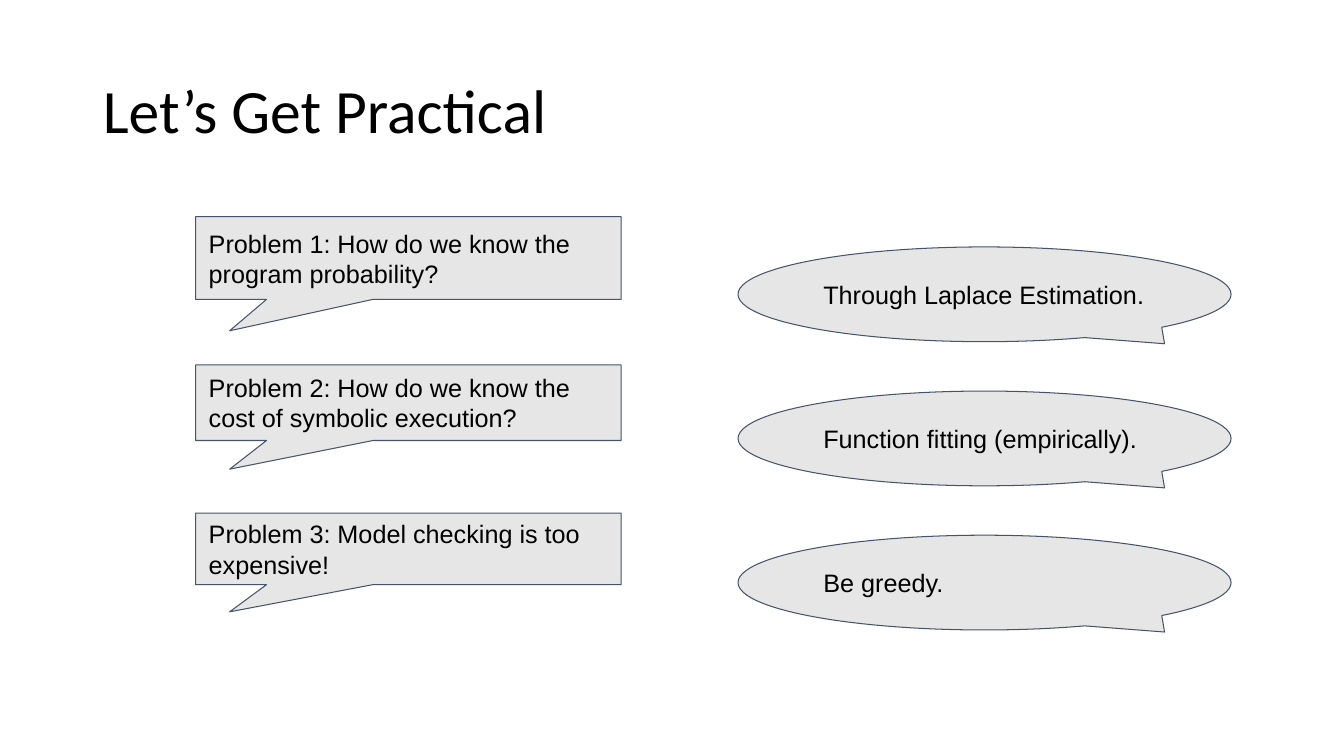
from pptx import Presentation
from pptx import util as u
from pptx.dml.color import RGBColor
from pptx.enum import shapes, text

# Content
TITLE = "Let’s Get Practical"
PAIRS = [
    ("Problem 1: How do we know the program probability?", 0.82,
     "Through Laplace Estimation."),
    ("Problem 2: How do we know the cost of symbolic execution?", 0.75,
     "Function fitting (empirically)."),
    ("Problem 3: Model checking is too expensive!", 0.71,
     "Be greedy."),
]
HUES = {"fill": "E7E6E6", "line": "44546A", "text": "000000"}

# Grid, in inches: left, first top, row step, width
ASK = (1.94, 2.15, 1.47, 4.22)
REPLY = (7.32, 2.45, 1.43, 4.89)
HIGH = 0.94
PAD = u.Inches(0.13)

KIND = shapes.MSO_SHAPE
ASK_TAIL = (-0.42, 0.88, 0)
REPLY_TAIL = (0.365, 0.522)


def hue(name):
    return RGBColor.from_string(HUES[name])


def write(para, words, face, size):
    para.alignment = text.PP_ALIGN.LEFT
    run = para.add_run()
    run.text = words
    run.font.name = face
    run.font.size = u.Pt(size)
    run.font.color.rgb = hue("text")


def bubble(slide, kind, tail, grid, row, high, words):
    left, top, step, wide = grid
    box = slide.shapes.add_shape(
        kind, u.Inches(left), u.Inches(top + row * step),
        u.Inches(wide), u.Inches(high))
    for i, value in enumerate(tail):
        box.adjustments[i] = value
    box.shadow.inherit = False
    box.fill.solid()
    box.fill.fore_color.rgb = hue("fill")
    box.line.color.rgb = hue("line")
    box.line.width = u.Pt(0.75)
    frame = box.text_frame
    frame.word_wrap = True
    frame.vertical_anchor = text.MSO_ANCHOR.MIDDLE
    frame.margin_left = frame.margin_right = PAD
    frame.margin_top = frame.margin_bottom = PAD
    write(frame.paragraphs[0], words, "Arial", 18)


def main():
    deck = Presentation()
    deck.slide_width, deck.slide_height = u.Inches(13.33), u.Inches(7.5)
    slide = deck.slides.add_slide(deck.slide_layouts[5])

    # Title
    head = slide.shapes.title
    head.left, head.top = u.Inches(0.92), u.Inches(0.4)
    head.width, head.height = u.Inches(11.5), u.Inches(1.45)
    head.text_frame.vertical_anchor = text.MSO_ANCHOR.MIDDLE
    para = head.text_frame.paragraphs[0]
    para.line_spacing = 0.9
    write(para, TITLE, "Calibri", 44)

    # Problems on the left, replies on the right
    for row, (ask, high, reply) in enumerate(PAIRS):
        bubble(slide, KIND.ROUNDED_RECTANGULAR_CALLOUT, ASK_TAIL,
               ASK, row, high, ask)
        bubble(slide, KIND.OVAL_CALLOUT, REPLY_TAIL,
               REPLY, row, HIGH, reply)

    deck.save("out.pptx")


if __name__ == "__main__":
    main()
